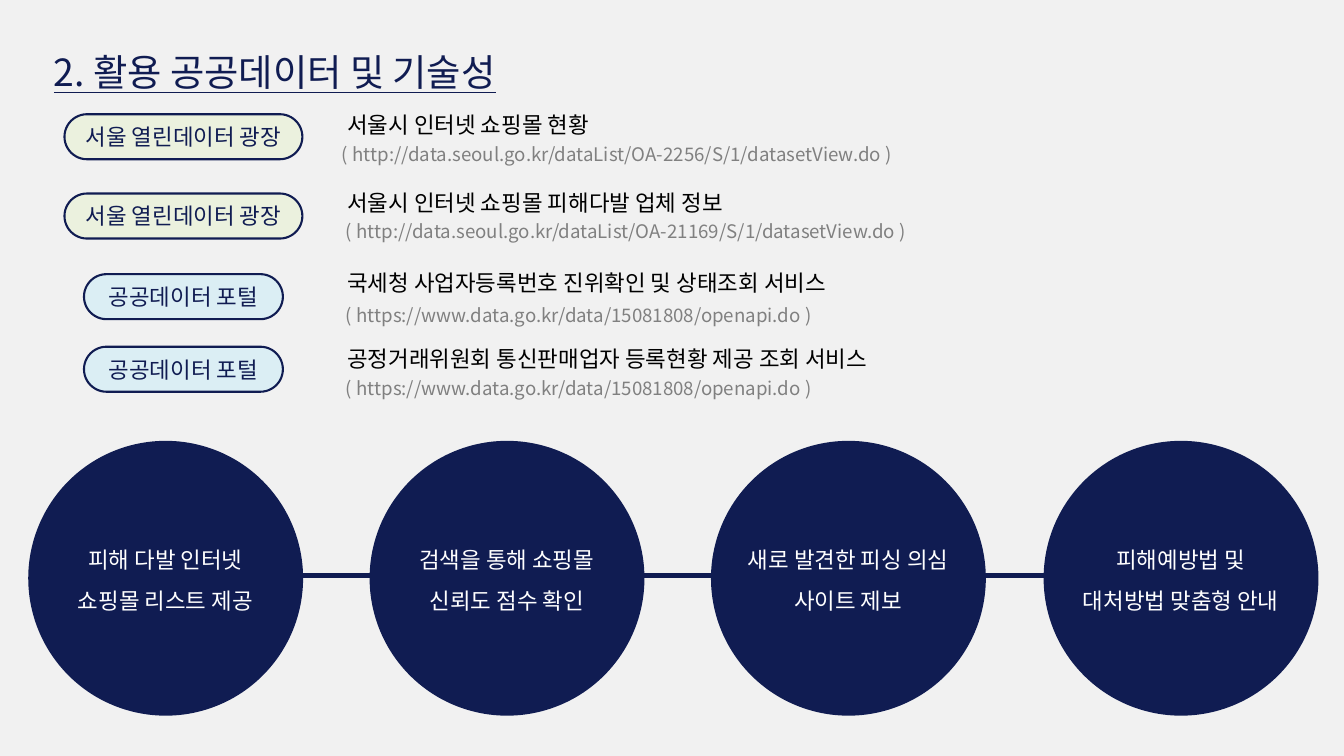
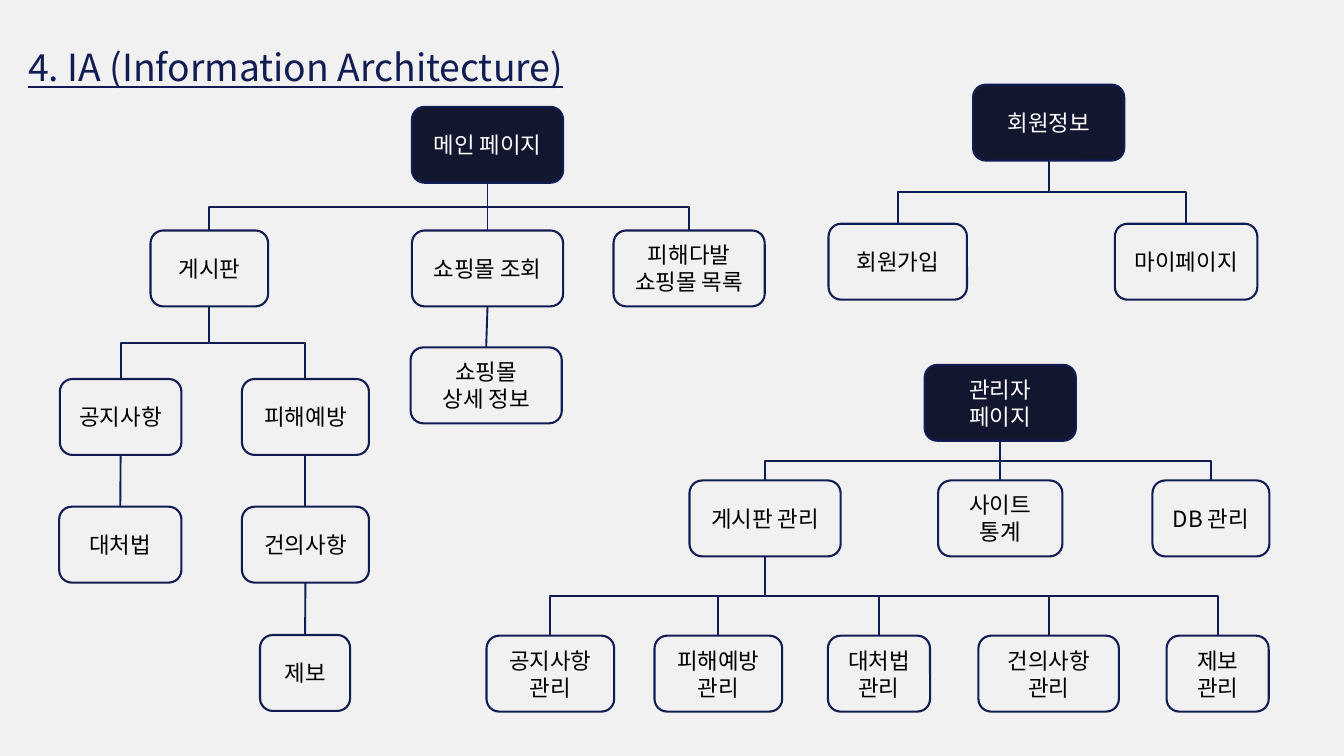
from dataclasses import dataclass

from lxml import etree
from pptx import Presentation
from pptx import util as u
from pptx.dml.color import RGBColor
from pptx.enum import shapes, text
from pptx.oxml import ns


@dataclass(frozen=True)
class Theme:
    """Colours, type sizes and line widths of the deck."""
    font: str = "Noto Sans CJK KR"
    back: str = "F1F1F1"
    navy: str = "101C52"
    dark: str = "12162E"
    green: str = "EBF1DE"
    blue: str = "DBEEF4"
    gray: str = "808080"
    black: str = "000000"
    white: str = "FFFFFF"
    head: int = 40
    body: int = 24
    small: int = 20
    edge: float = 2.25
    link: float = 2
    rail: float = 5.25


T = Theme()
COLS, ROWS = 20, 11.25
NODE = 1.13
DISC = 4.09
DISC_TOP = 6.56

SEOUL = ("서울 열린데이터 광장", T.green, 0.96, 3.54)
PORTAL = ("공공데이터 포털", T.blue, 1.25, 2.96)
DATA = [
    (SEOUL, 1.7, 1.61, "서울시 인터넷 쇼핑몰 현황",
     4.99, 2.07, "( http://data.seoul.go.kr/dataList/OA-2256/S/1/datasetView.do )"),
    (SEOUL, 2.88, 2.76, "서울시 인터넷 쇼핑몰 피해다발 업체 정보",
     5.05, 3.22, "( http://data.seoul.go.kr/dataList/OA-21169/S/1/datasetView.do )"),
    (PORTAL, 4.08, 3.96, "국세청 사업자등록번호 진위확인 및 상태조회 서비스",
     5.05, 4.47, "( https://www.data.go.kr/data/15081808/openapi.do )"),
    (PORTAL, 5.16, 5.08, "공정거래위원회 통신판매업자 등록현황 제공 조회 서비스",
     5.05, 5.56, "( https://www.data.go.kr/data/15081808/openapi.do )"),
]
STEPS = [
    (0.42, "피해 다발 인터넷 쇼핑몰 리스트 제공"),
    (5.5, "검색을 통해 쇼핑몰 신뢰도 점수 확인"),
    (10.58, "새로 발견한 피싱 의심 사이트 제보"),
    (15.53, "피해예방법 및 대처방법 맞춤형 안내"),
]
TREES = [
    ("메인 페이지", 6.13, 1.59, 2.25, [
        ("게시판", 2.24, 3.43, 1.75, [
            ("공지사항", 0.89, 5.64, 1.81, [("대처법", 0.88, 7.54, 1.82, [])]),
            ("피해예방", 3.6, 5.64, 1.89, [
                ("건의사항", 3.6, 7.54, 1.89, [("제보", 3.87, 9.45, 1.34, [])]),
            ]),
        ]),
        ("쇼핑몰 조회", 6.13, 3.43, 2.25, [
            ("쇼핑몰\n상세 정보", 6.11, 5.17, 2.25, []),
        ]),
        ("피해다발\n쇼핑몰 목록", 9.13, 3.43, 2.25, []),
    ]),
    ("회원정보", 14.48, 1.26, 2.25, [
        ("회원가입", 12.33, 3.33, 2.06, []),
        ("마이페이지", 16.59, 3.33, 2.12, []),
    ]),
    ("관리자\n페이지", 13.76, 5.43, 2.25, [
        ("게시판 관리", 10.26, 7.15, 2.25, [
            ("공지사항\n관리", 7.24, 9.46, 1.9, []),
            ("피해예방\n관리", 9.74, 9.46, 1.9, []),
            ("대처법\n관리", 12.32, 9.46, 1.52, []),
            ("건의사항\n관리", 14.56, 9.46, 2.09, []),
            ("제보\n관리", 17.36, 9.46, 1.52, []),
        ]),
        ("사이트\n통계", 13.96, 7.15, 1.85, []),
        ("DB 관리", 17.15, 7.15, 1.74, []),
    ]),
]


def grid(*vals):
    """Turn grid units into lengths."""
    return [u.Inches(v) for v in vals]


def rgb(code):
    """Make a colour from its hex code."""
    return RGBColor.from_string(code)


def write(shape, words, size=T.body, color=T.black, align=text.PP_ALIGN.LEFT,
          anchor=text.MSO_ANCHOR.TOP, lead=None, under=None, inset=None):
    """Put formatted text into a shape, one paragraph a line."""
    frame = shape.text_frame
    frame.word_wrap = True
    frame.auto_size = text.MSO_AUTO_SIZE.NONE
    frame.vertical_anchor = anchor
    if inset is not None:
        frame.margin_left = frame.margin_right = u.Inches(inset)
        frame.margin_top = frame.margin_bottom = u.Inches(inset)
    frame.text = words
    for para in frame.paragraphs:
        para.alignment = align
        para.line_spacing = lead
        for run in para.runs:
            font = run.font
            font.size, font.underline = u.Pt(size), under
            font.color.rgb = rgb(color)
            font.name = T.font
            props = run._r.get_or_add_rPr()
            etree.SubElement(props, ns.qn("a:ea"), typeface=T.font)


def label(group, words, *box, **form):
    """Add a text box."""
    write(group.add_textbox(*grid(*box)), words, **form)


def block(group, kind, *box, fill=None, edge=None):
    """Add a flat preset shape."""
    shape = group.add_shape(kind, *grid(*box))
    shape.shadow.inherit = False
    if fill:
        shape.fill.solid()
        shape.fill.fore_color.rgb = rgb(fill)
    else:
        shape.fill.background()
    if edge:
        shape.line.color.rgb = rgb(edge)
        shape.line.width = u.Pt(T.edge)
    else:
        shape.line.fill.background()
    return shape


def pill(slide, words, *box, fill=None, color=T.black, round=None):
    """Add an outlined round box with centred text."""
    shape = block(slide.shapes, shapes.MSO_SHAPE.ROUNDED_RECTANGLE, *box,
                  fill=fill, edge=T.navy)
    if round:
        shape.adjustments[0] = round
    write(shape, words, color=color, align=text.PP_ALIGN.CENTER,
          anchor=text.MSO_ANCHOR.MIDDLE)
    return shape


def wire(slide, kind, width, *ends):
    """Add a flat navy connector."""
    line = slide.shapes.add_connector(kind, *ends)
    line.line.color.rgb = rgb(T.navy)
    line.line.width = u.Pt(width)
    etree.SubElement(line._element.spPr, ns.qn("a:effectLst"))
    return line


def join(slide, top, low):
    """Link the foot of one box to the head of a lower one."""
    x1, y1 = top.left + top.width // 2, top.top + top.height
    x2, y2 = low.left + low.width // 2, low.top
    plain = abs(x2 - x1) < u.Inches(0.05)
    kind = shapes.MSO_CONNECTOR.STRAIGHT if plain else shapes.MSO_CONNECTOR.ELBOW
    line = wire(slide, kind, T.link, x1, y1, x2, y2)
    line.begin_connect(top, 2)
    line.end_connect(low, 0)
    if plain:
        return
    wide, high = y2 - y1, abs(x2 - x1)
    line.left, line.top = (x1 + x2 - wide) // 2, (y1 + y2 - high) // 2
    line.width, line.height = wide, high
    frame = line._element.spPr.find(ns.qn("a:xfrm"))
    right = x2 > x1
    frame.set("rot", "16200000" if right else "5400000")
    frame.set("flipH", "1" if right else "0")
    frame.set("flipV", "0")


def grow(slide, node, root=True):
    """Draw a tree node and everything below it."""
    words, x, y, wide, kids = node
    box = pill(slide, words, x, y, wide, NODE, fill=T.dark if root else None,
               color=T.white if root else T.black)
    for kid in kids:
        join(slide, box, grow(slide, kid, False))
    return box


def page(deck, words, *box):
    """Add a slide with its underlined title."""
    slide = deck.slides.add_slide(deck.slide_layouts.get_by_name("Title Only"))
    head = slide.shapes.title
    head.left, head.top, head.width, head.height = grid(*box)
    write(head, words, size=T.head, color=T.navy, lead=u.Pt(78), under=True,
          inset=0)
    return slide


def source(slide, tag, y, name_y, name, url_x, url_y, url):
    """Add a data source: its tag, name and address."""
    words, fill, x, wide = tag
    pill(slide, words, x, y, wide, 0.67, fill=fill, color=T.navy, round=0.5)
    label(slide.shapes, name, 5.07, name_y, 14, 0.5)
    label(slide.shapes, url, url_x, url_y, 12.3, 0.44, size=T.small,
          color=T.gray)


def step(slide, x, words):
    """Add a disc with its caption as one group."""
    group = slide.shapes.add_group_shape().shapes
    block(group, shapes.MSO_SHAPE.OVAL, x, DISC_TOP, DISC, DISC, fill=T.navy)
    label(group, words, x + 0.38, DISC_TOP + 0.24, 3.32, 3.46, color=T.white,
          align=text.PP_ALIGN.CENTER, anchor=text.MSO_ANCHOR.MIDDLE, lead=1.5,
          inset=0.06)


def main():
    """Build and save the deck."""
    deck = Presentation()
    deck.slide_width, deck.slide_height = grid(COLS, ROWS)
    back = deck.slide_master.background.fill
    back.solid()
    back.fore_color.rgb = rgb(T.back)

    slide = page(deck, "2. 활용 공공데이터 및 기술성", 0.8, 0.32, 9, 0.98)
    wire(slide, shapes.MSO_CONNECTOR.STRAIGHT, T.rail,
         *grid(2.21, 8.57, 19, 8.57))
    for item in STEPS:
        step(slide, *item)
    for row in DATA:
        source(slide, *row)

    slide = page(deck, "4. IA (Information Architecture)",
                 0.42, 0.24, 12.32, 0.98)
    for tree in TREES:
        grow(slide, tree)
    deck.save("out.pptx")


if __name__ == "__main__":
    main()
